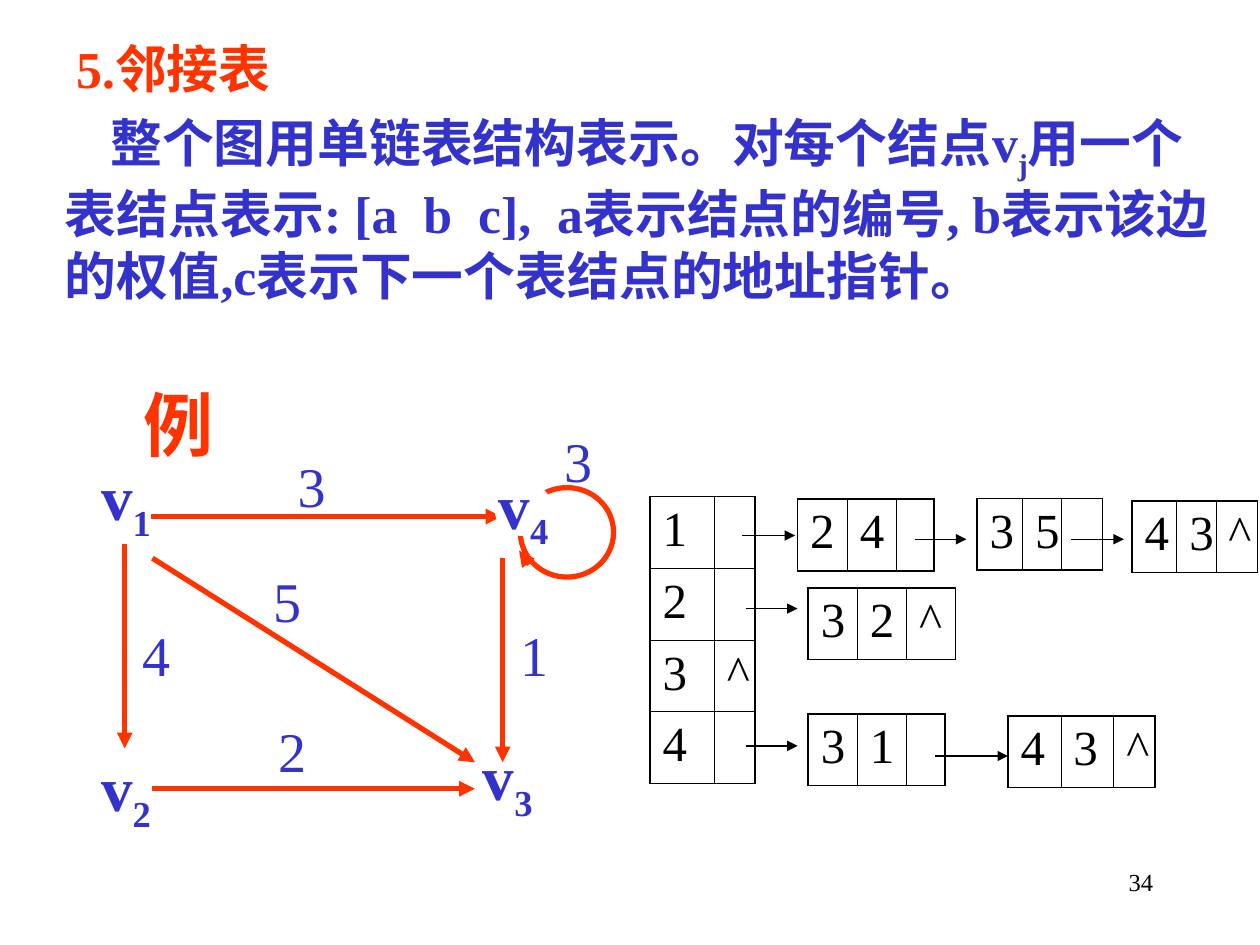
"""Build the slide on adjacency lists: definition, example graph and its linked lists."""
from pptx import Presentation
from pptx import util as u
from pptx.dml.color import RGBColor
from pptx.enum import shapes, text
from pptx.oxml import parse_xml
from pptx.oxml.ns import nsdecls

COLOURS = {"heading": "FF3300", "body": "3333CC", "ink": "000000", "paper": "FFFFFF"}
FONT = "Times New Roman"

deck = Presentation()
deck.slide_width, deck.slide_height = u.Inches(10), u.Inches(7.5)
GRID = deck.slide_width // 100  # 100 columns by 75 rows
slide = deck.slides.add_slide(deck.slide_layouts[1])
slide.shapes.title.element.getparent().remove(slide.shapes.title.element)


def write(paragraph, words, size=32, colour="body", bold=False, align=None, sub=""):
    for part, baseline in ((words, 0), (sub, -25000)):
        if part:
            run = paragraph.add_run()
            run.text = part
            run.font.name, run.font.size, run.font.bold = FONT, u.Pt(size), bold
            run.font.color.rgb = RGBColor.from_string(COLOURS[colour])
            if baseline:
                run._r.get_or_add_rPr().set("baseline", str(baseline))
    if align is not None:
        paragraph.alignment = align


def arrow(x1, y1, x2, y2, colour, width):
    ends = [round(v * GRID) for v in (x1, y1, x2, y2)]
    line = slide.shapes.add_connector(shapes.MSO_CONNECTOR.STRAIGHT, *ends).line
    line.color.rgb = RGBColor.from_string(COLOURS[colour])
    line.width = u.Pt(width)
    line._get_or_add_ln().append(parse_xml(f'<a:tailEnd {nsdecls("a")} type="triangle"/>'))
    slide.shapes[-1]._element.spPr.append(parse_xml(f'<a:effectLst {nsdecls("a")}/>'))


definition = slide.placeholders[1]
definition.left, definition.top, definition.width, definition.height = (
    round(v * GRID) for v in (4.15, 3.35, 93.3, 26.7))
definition.text_frame.auto_size = text.MSO_AUTO_SIZE.NONE
heading = definition.text_frame.paragraphs[0]
explanation = definition.text_frame.add_paragraph()
for paragraph, indent, spacing in ((heading, 0.09, 0.8), (explanation, 0.36, 1.0)):
    paragraph.line_spacing, paragraph.space_before = spacing, u.Pt(7)
    properties = paragraph._p.get_or_add_pPr()
    properties.set("marL", "0")
    properties.set("indent", str(u.Inches(indent)))
    properties.append(parse_xml(f'<a:buNone {nsdecls("a")}/>'))
write(heading, "5.邻接表", size=29.6, colour="heading", bold=True)
write(explanation, "整个图用单链表结构表示。对每个结点v", size=29.6, bold=True, sub="j")
write(explanation, "用一个表结点表示: [a  b  c],  a表示结点的编号, b表示该边的权值,"
      "c表示下一个表结点的地址指针。", size=29.6, bold=True)

# left, top, column widths, rows of cells
lists = [
    (51.6, 39.4, (5.1, 3.25), (("1", ""), ("2", ""), ("3", "^"), ("4", ""))),
    (63.3, 39.6, (3.95, 3.9, 3), (("2", "4", ""),)),
    (77.55, 39.55, (3.6, 3.05, 3.3), (("3", "5", ""),)),
    (89.85, 39.75, (3.55, 3.1, 3.3), (("4", "3", "^"),)),
    (64.15, 46.65, (3.9, 3.9, 3.9), (("3", "2", "^"),)),
    (64.15, 56.65, (3.9, 3.9, 3.05), (("3", "1", ""),)),
    (80, 56.8, (4.2, 4.2, 3.3), (("4", "3", "^"),)),
]
ROW = 5.7
for left, top, widths, rows in lists:
    box = [round(v * GRID) for v in (left, top, sum(widths), ROW * len(rows))]
    nodes = slide.shapes.add_table(len(rows), len(widths), *box).table
    nodes.first_row = nodes.horz_banding = False
    for column, width in zip(nodes.columns, widths):
        column.width = round(width * GRID)
    for r, row in enumerate(rows):
        nodes.rows[r].height = round(ROW * GRID)
        for c, value in enumerate(row):
            cell = nodes.cell(r, c)
            cell.fill.background()
            write(cell.text_frame.paragraphs[0], value, size=28, colour="ink")
            outer = {"L": c == 0, "R": c == len(row) - 1,
                     "T": r == 0, "B": r == len(rows) - 1}
            for i, (side, is_outer) in enumerate(outer.items()):
                weight = u.Pt(1.08 if is_outer else 0.45)
                cell._tc.get_or_add_tcPr().insert(i, parse_xml(
                    f'<a:ln{side} {nsdecls("a")} w="{weight}"><a:solidFill>'
                    f'<a:srgbClr val="{COLOURS["ink"]}"/></a:solidFill></a:ln{side}>'))

for x1, x2, y in ((72.6, 76.7, 42.8), (85, 89.2, 42.8), (58.9, 63.1, 42.5),
                  (59.2, 63.3, 48.3), (59.2, 63.3, 59.2), (74.2, 80, 60)):
    arrow(x1, y, x2, y, "ink", 0.75)

loop = slide.shapes.add_shape(shapes.MSO_SHAPE.OVAL,
                              *(round(v * GRID) for v in (41.3, 38.7, 7.4, 7.1)))
loop.shadow.inherit = False
loop.fill.background()
loop.line.color.rgb = RGBColor.from_string(COLOURS["heading"])
loop.line.width = u.Pt(3)

for edge in ((12, 41, 39.8, 41), (39.9, 44.3, 39.9, 60.5), (9.9, 43.2, 9.9, 59.4),
             (12.1, 62.6, 37.7, 62.6), (12.1, 44.3, 37.7, 60.5), (42, 44.8, 41.2, 43.7)):
    arrow(*edge, "heading", 3)

# centre column, centre row, words, subscript
vertex = {"size": 36, "bold": True}
labels = [
    (10, 39.75, "v", "1", vertex), (10, 62.85, "v", "2", vertex),
    (40.3, 61.95, "v", "3", vertex), (41.55, 40.4, "v", "4", vertex),
    (42.4, 51.95, "1", "", {}), (22.8, 47.65, "5", "", {}),
    (12.4, 51.95, "4", "", {}), (23.2, 59.55, "2", "", {}),
    (45.9, 36.5, "3", "", {}), (24.75, 38.5, "3", "", {}),
    (14.2, 33.65, "例", "", {"size": 40, "bold": True, "colour": "heading"}),
]
WIDE, HIGH = 4.6, 4.3
for x, y, words, sub, style in labels:
    label = slide.shapes.add_shape(shapes.MSO_SHAPE.OVAL, *(
        round(v * GRID) for v in (x - WIDE / 2, y - HIGH / 2, WIDE, HIGH)))
    label.shadow.inherit = False
    label.line.fill.background()
    if sub == "4":
        label.fill.solid()
        label.fill.fore_color.rgb = RGBColor.from_string(COLOURS["paper"])
    else:
        label.fill.background()
    label.text_frame.word_wrap = False
    label.text_frame.vertical_anchor = text.MSO_ANCHOR.MIDDLE
    write(label.text_frame.paragraphs[0], words, sub=sub, align=text.PP_ALIGN.CENTER, **style)

page = slide.shapes.add_textbox(*(round(v * GRID) for v in (71.7, 68.3, 20.8, 5)))
page.text_frame.word_wrap = True
write(page.text_frame.paragraphs[0], "34", size=14, colour="ink", align=text.PP_ALIGN.RIGHT)

deck.save("out.pptx")
